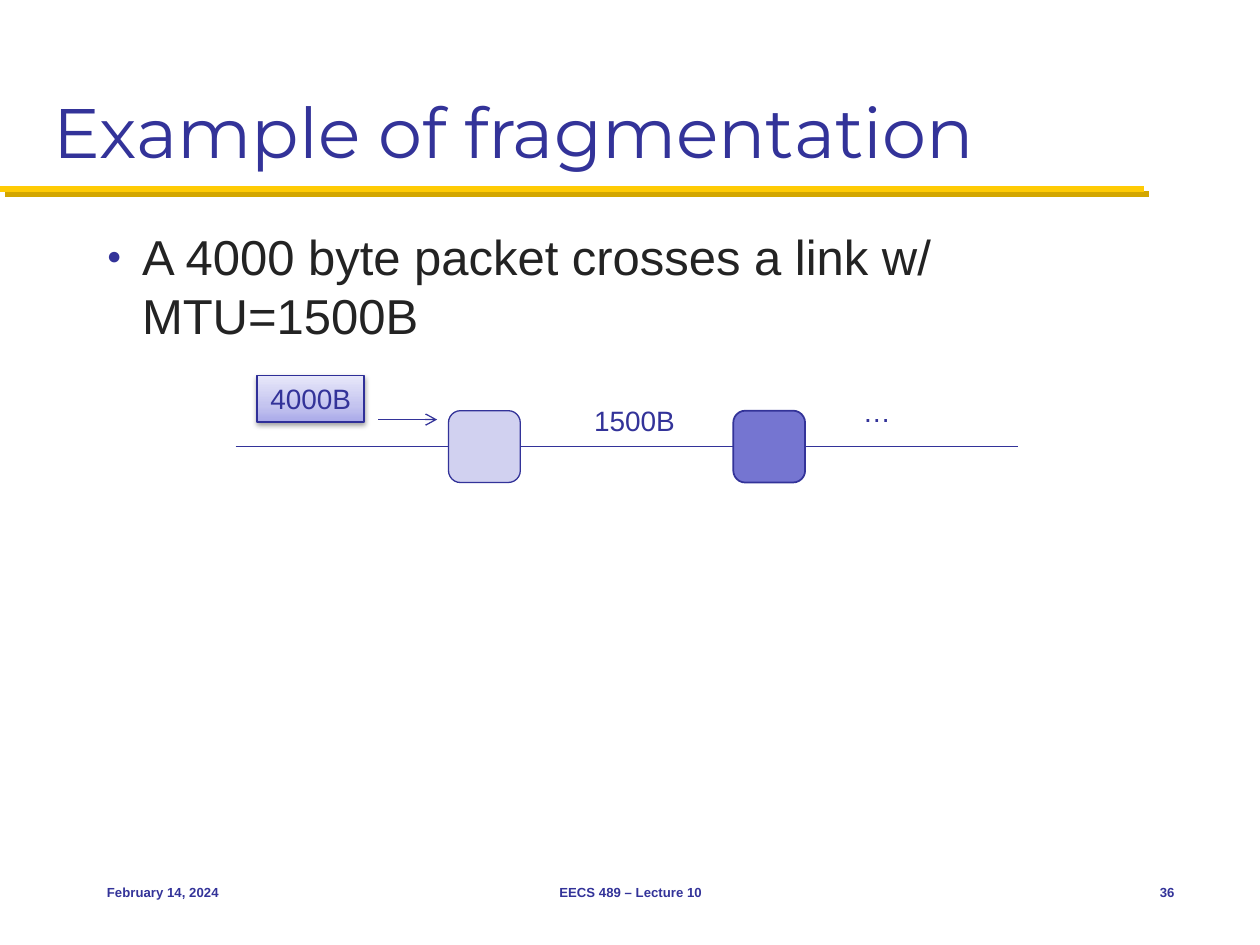
from dataclasses import dataclass
from lxml import etree
from pptx import Presentation
from pptx.dml.color import RGBColor
from pptx.enum.shapes import MSO_CONNECTOR, MSO_SHAPE
from pptx.enum.text import MSO_ANCHOR, PP_ALIGN
from pptx.oxml import parse_xml
from pptx.oxml.ns import nsdecls, qn
from pptx.util import Inches, Pt

STRAIGHT = MSO_CONNECTOR.STRAIGHT
RECT, ROUND = MSO_SHAPE.RECTANGLE, MSO_SHAPE.ROUNDED_RECTANGLE
TOP, MIDDLE, BOTTOM = MSO_ANCHOR.TOP, MSO_ANCHOR.MIDDLE, MSO_ANCHOR.BOTTOM
LEFT, CENTER, RIGHT = PP_ALIGN.LEFT, PP_ALIGN.CENTER, PP_ALIGN.RIGHT
WEST, EAST = 1, 3


@dataclass(frozen=True)
class Theme:
    ink: str = "333399"
    body: str = "232323"
    gold: str = "FFCB05"
    shade: str = "D3A600"
    edge: str = "2F2F98"
    pale: str = "D1D1F0"
    deep: str = "7575D1"
    grad: tuple = ((0, "A9A9E9"), (35, "C4C4EF"), (100, "E8E8FA"))
    head: str = "Montserrat"
    font: str = "Arial"
    title: float = 40
    text: float = 28
    label: float = 16
    foot: float = 7.5


THEME = Theme()


def color(code):
    return RGBColor.from_string(code)


def write(frame, text, size, ink=THEME.ink, font=THEME.font,
          align=LEFT, anchor=TOP, wrap=True, bold=False):
    frame.word_wrap = wrap
    frame.vertical_anchor = anchor
    para = frame.paragraphs[0]
    para.alignment = align
    run = para.add_run()
    run.text = text
    run.font.name = font
    run.font.size = Pt(size)
    run.font.bold = bold
    run.font.color.rgb = color(ink)
    return para


def add_text(slide, box, text, size, **style):
    area = slide.shapes.add_textbox(*map(Inches, box))
    return write(area.text_frame, text, size, **style)


def add_bullet(para):
    props = para._p.get_or_add_pPr()
    props.set("marL", str(Inches(0.28)))
    props.set("indent", str(-Inches(0.28)))
    space = etree.SubElement(props, qn("a:spcBef"))
    etree.SubElement(space, qn("a:spcPct"), val="20000")
    tint = etree.SubElement(props, qn("a:buClr"))
    etree.SubElement(tint, qn("a:srgbClr"), val=THEME.ink)
    etree.SubElement(props, qn("a:buSzPct"), val="50000")
    etree.SubElement(props, qn("a:buFont"), typeface=THEME.font)
    etree.SubElement(props, qn("a:buChar"), char="●")


def add_shadow(shape, code, alpha, blur, dist, angle):
    props = shape._element.spPr
    for old in props.findall(qn("a:effectLst")):
        props.remove(old)
    props.append(parse_xml(
        f'<a:effectLst {nsdecls("a")}><a:outerShdw blurRad="{Pt(blur)}" '
        f'dist="{Pt(dist)}" dir="{angle * 60000}" algn="ctr" rotWithShape="0">'
        f'<a:srgbClr val="{code}"><a:alpha val="{alpha * 1000}"/></a:srgbClr>'
        '</a:outerShdw></a:effectLst>'))


def add_line(slide, start, end, ink=THEME.ink, width=0.75, arrow=False):
    line = slide.shapes.add_connector(STRAIGHT, *map(Inches, start + end))
    line.line.color.rgb = color(ink)
    line.line.width = Pt(width)
    if arrow:
        stroke = line.line._get_or_add_ln()
        etree.SubElement(stroke, qn("a:tailEnd"), type="arrow")
    etree.SubElement(line._element.spPr, qn("a:effectLst"))
    return line


def add_box(slide, kind, box, fill, edge=THEME.ink, width=0.75):
    shape = slide.shapes.add_shape(kind, *map(Inches, box))
    shape.shadow.inherit = False
    shape.fill.solid()
    shape.fill.fore_color.rgb = color(fill)
    shape.line.color.rgb = color(edge)
    shape.line.width = Pt(width)
    return shape


def add_packet(slide, box, text):
    shape = add_box(slide, RECT, box, THEME.pale, THEME.edge)
    stops = "".join(
        f'<a:gs pos="{spot * 1000}"><a:srgbClr val="{code}"/></a:gs>'
        for spot, code in THEME.grad)
    props = shape._element.spPr
    props.replace(props.find(qn("a:solidFill")), parse_xml(
        f'<a:gradFill {nsdecls("a")} rotWithShape="1"><a:gsLst>{stops}</a:gsLst>'
        '<a:lin ang="16200000" scaled="0"/></a:gradFill>'))
    add_shadow(shape, "000000", 38, 3.1, 1.6, 90)
    write(shape.text_frame, text, THEME.label, align=CENTER,
          anchor=MIDDLE, wrap=False)


def add_path(slide):
    side, top, first, step, reach = 0.57, 3.26, 3.56, 2.26, 1.69
    mid = top + side / 2
    left, right = [
        add_box(slide, ROUND, (first + i * step, top, side, side), fill,
                width=width)
        for i, (fill, width) in enumerate(((THEME.pale, 0.75), (THEME.deep, 1)))]
    for i, (begin, end) in enumerate(((None, left), (left, right), (right, None))):
        x = first - reach + i * step
        link = add_line(slide, (x, mid), (x + reach, mid))
        if begin:
            link.begin_connect(begin, EAST)
        if end:
            link.end_connect(end, WEST)
    add_packet(slide, (2.04, 2.98, 0.85, 0.37), "4000B")
    add_text(slide, (4.61, 3.15, 0.85, 0.37), "1500B", THEME.label,
             align=CENTER, wrap=False)
    add_text(slide, (6.75, 3.08, 0.43, 0.37), "…", THEME.label, wrap=False)
    add_line(slide, (3, 3.33), (3.47, 3.33), arrow=True)


def add_foot(slide):
    for x, width, text, align in (
            (0.75, 2.08, "February 14, 2024", LEFT),
            (3.42, 3.17, "EECS 489 – Lecture 10", CENTER),
            (8.75, 0.67, "36", RIGHT)):
        add_text(slide, (x, 6.83, width, 0.5), text, THEME.foot,
                 align=align, anchor=MIDDLE, bold=True)


def main():
    deck = Presentation()
    deck.slide_width, deck.slide_height = Inches(10), Inches(7.5)
    slide = deck.slides.add_slide(deck.slide_layouts[6])
    rule = add_line(slide, (0, 1.5), (9.08, 1.5), THEME.gold, 3.5)
    add_shadow(rule, THEME.shade, 100, 0, 4.2, 45)
    add_text(slide, (0.33, 0.17, 9.33, 1.25), "Example of fragmentation",
             THEME.title, font=THEME.head, anchor=BOTTOM)
    para = add_text(slide, (0.75, 1.75, 8.67, 4.83),
                    "A 4000 byte packet crosses a link w/ MTU=1500B",
                    THEME.text, ink=THEME.body)
    add_bullet(para)
    add_path(slide)
    add_foot(slide)
    deck.save("out.pptx")


if __name__ == "__main__":
    main()
